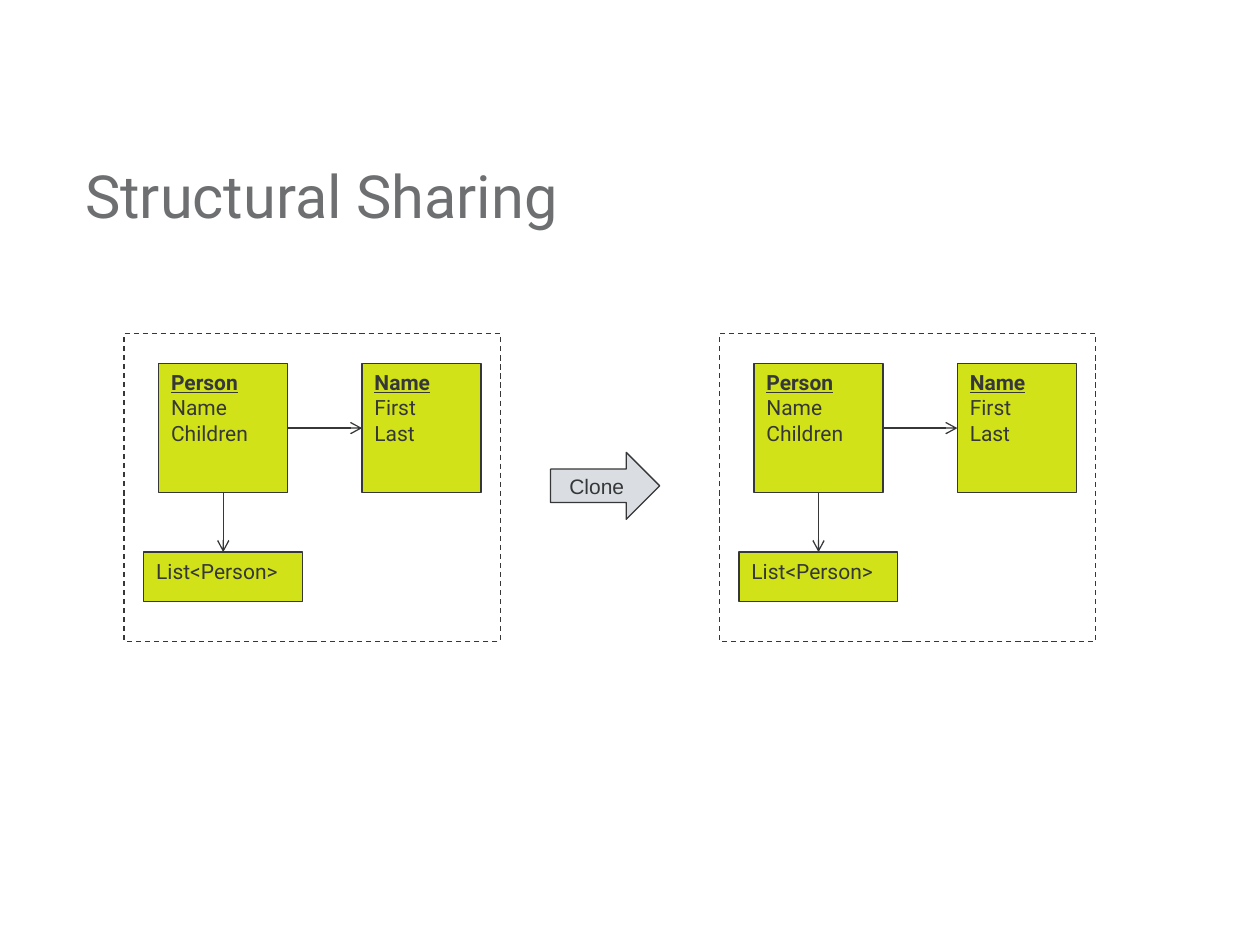
import pptx
import pptx.dml.color
import pptx.enum.dml
import pptx.enum.shapes
import pptx.enum.text
import pptx.oxml.ns
import pptx.util
from lxml import etree
from pptx.util import Cm

INK = pptx.dml.color.RGBColor(0x36, 0x37, 0x38)
TITLE_GRAY = pptx.dml.color.RGBColor(0x6D, 0x6F, 0x71)
LIME = pptx.dml.color.RGBColor(0xD1, 0xE3, 0x18)
PALE_GRAY = pptx.dml.color.RGBColor(0xDA, 0xDE, 0xE2)
WHITE = pptx.dml.color.RGBColor(0xFF, 0xFF, 0xFF)

SHAPE = pptx.enum.shapes.MSO_SHAPE
ANCHOR = pptx.enum.text.MSO_ANCHOR
ALIGN = pptx.enum.text.PP_ALIGN

BODY = {"name": "Roboto", "size": pptx.util.Pt(12), "bold": False, "underline": False}
HEADING = {**BODY, "bold": True, "underline": True}
TITLE = {**BODY, "size": pptx.util.Pt(34)}
LABEL = {**BODY, "name": "Arial"}

LINE_WIDTH = pptx.util.Pt(0.75)
FRAME_TOP = 6.73
FRAME_LEFT = 2.5
CLONE_OFFSET = 12
BOX_TOP = FRAME_TOP + 0.6
LIST_TOP = FRAME_TOP + 4.4


def write_paragraph(paragraph, text, formats, color, alignment=ALIGN.LEFT):
    paragraph.alignment = alignment
    run = paragraph.add_run()
    run.text = text
    for attribute, value in formats.items():
        setattr(run.font, attribute, value)
    run.font.color.rgb = color


def add_title(slide, text):
    box = slide.shapes.add_textbox(Cm(1.47), Cm(2.97), Cm(17.78), Cm(1.9))
    frame = box.text_frame
    frame.word_wrap = True
    frame.vertical_anchor = ANCHOR.MIDDLE
    write_paragraph(frame.paragraphs[0], text, TITLE, TITLE_GRAY)


def add_outlined_shape(shapes, kind, left, top, width, height, fill):
    shape = shapes.add_shape(kind, Cm(left), Cm(top), Cm(width), Cm(height))
    shape.shadow.inherit = False
    if fill is None:
        shape.fill.background()
    else:
        shape.fill.solid()
        shape.fill.fore_color.rgb = fill
    shape.line.color.rgb = INK
    shape.line.width = LINE_WIDTH
    return shape


def add_object_box(shapes, left, top, width, height, lines):
    box = add_outlined_shape(shapes, SHAPE.RECTANGLE, left, top, width, height, LIME)
    frame = box.text_frame
    frame.vertical_anchor = ANCHOR.TOP
    for index, (text, formats) in enumerate(lines):
        paragraph = frame.add_paragraph() if index else frame.paragraphs[0]
        write_paragraph(paragraph, text, formats, INK)
    return box


def add_reference(shapes, source, source_site, target, target_site):
    connector = shapes.add_connector(
        pptx.enum.shapes.MSO_CONNECTOR.STRAIGHT,
        source.left + source.width, source.top + source.height,
        target.left, target.top,
    )
    connector.begin_connect(source, source_site)
    connector.end_connect(target, target_site)
    connector.line.color.rgb = INK
    connector.line.width = LINE_WIDTH
    line = connector.line._get_or_add_ln()
    etree.SubElement(line, pptx.oxml.ns.qn("a:tailEnd"), type="arrow")
    etree.SubElement(connector._element.spPr, pptx.oxml.ns.qn("a:effectLst"))


def add_frame(slide, left, fill):
    frame = add_outlined_shape(slide.shapes, SHAPE.RECTANGLE, left, FRAME_TOP, 7.59, 6.2, fill)
    frame.line.dash_style = pptx.enum.dml.MSO_LINE.DASH


def add_object_graph(slide, left):
    shapes = slide.shapes.add_group_shape().shapes
    name = add_object_box(shapes, left + 4.8, BOX_TOP, 2.4, 2.6,
                          [("Name", HEADING), ("First", BODY), ("Last", BODY)])
    person = add_object_box(shapes, left + 0.7, BOX_TOP, 2.6, 2.6,
                            [("Person", HEADING), ("Name", BODY), ("Children", BODY)])
    children = add_object_box(shapes, left + 0.4, LIST_TOP, 3.2, 1,
                              [("List<Person>", BODY)])
    add_reference(shapes, person, 3, name, 1)
    add_reference(shapes, person, 2, children, 0)


def add_clone_arrow(slide):
    arrow = add_outlined_shape(slide.shapes, SHAPE.RIGHT_ARROW, 11.1, 9.12, 2.2, 1.35, PALE_GRAY)
    arrow.text_frame.vertical_anchor = ANCHOR.MIDDLE
    write_paragraph(arrow.text_frame.paragraphs[0], "Clone", LABEL, INK, ALIGN.CENTER)


def main():
    presentation = pptx.Presentation()
    presentation.slide_width = Cm(25.4)
    presentation.slide_height = Cm(19.05)
    slide = presentation.slides.add_slide(presentation.slide_layouts[6])
    clone_left = FRAME_LEFT + CLONE_OFFSET
    add_frame(slide, clone_left, WHITE)
    add_frame(slide, FRAME_LEFT, None)
    add_title(slide, "Structural Sharing")
    for left in (clone_left, FRAME_LEFT):
        add_object_graph(slide, left)
    add_clone_arrow(slide)
    presentation.save("out.pptx")


if __name__ == "__main__":
    main()
